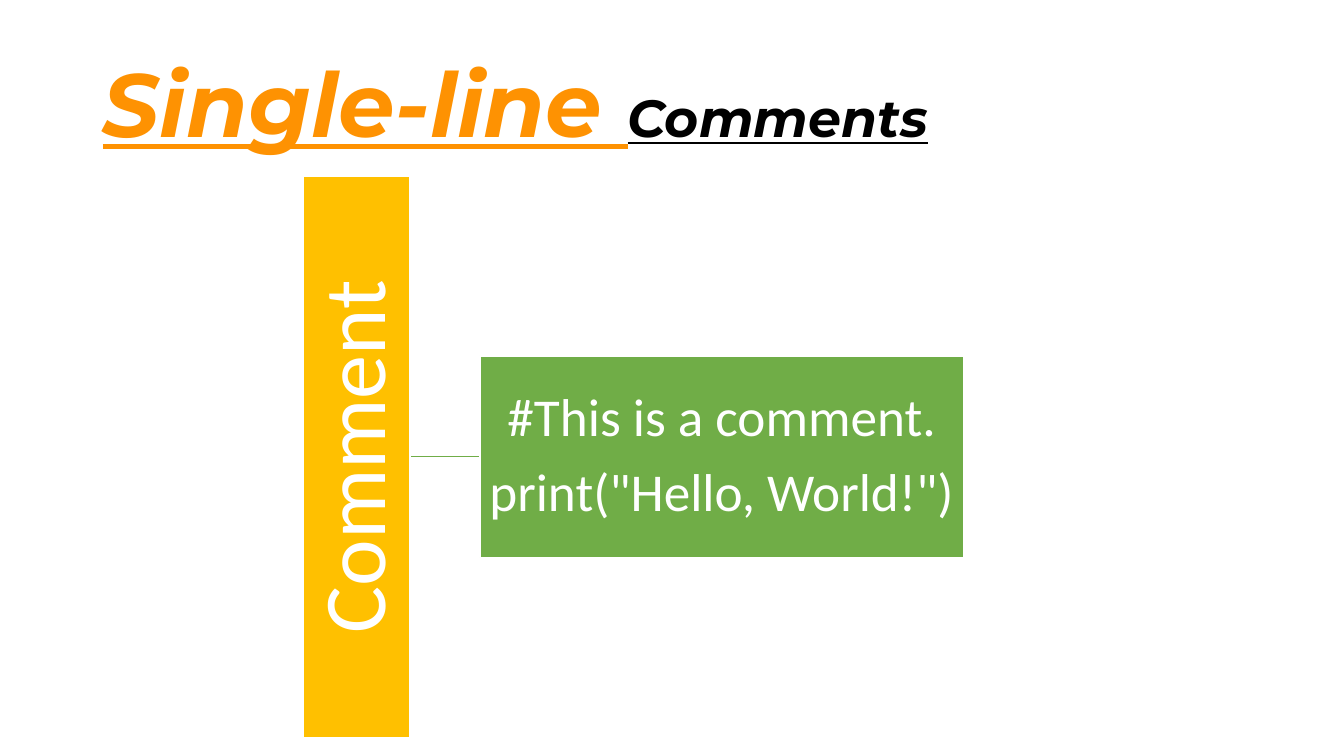
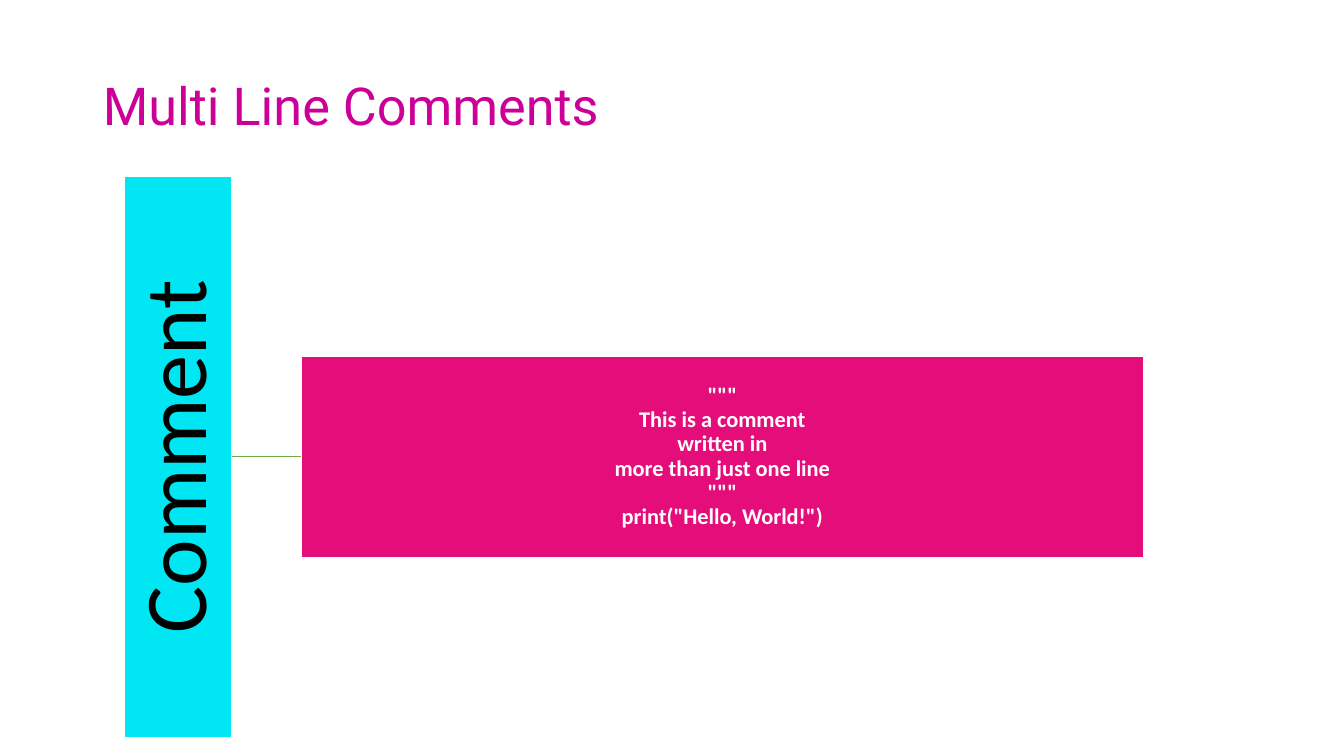
from dataclasses import dataclass
from typing import Any

from lxml import etree
from pptx import Presentation
from pptx.dml import color as dml
from pptx.enum import shapes, text
from pptx.oxml import ns
from pptx import util as u

SCALE = 9525  # EMU in one px
WIDE, HIGH = 1280, 720
MID = 435  # shared axis of bar, link and code box
BAR_W, BAR_H = 102, 535
LINK = 67
CODE_H = 192

HUES = {
    "white": "FFFFFF", "black": "000000", "orange": "FE9202",
    "purple": "CC0099", "gold": "FFC000", "green": "70AD47",
    "cyan": "00E6F2", "pink": "E50D79",
}


@dataclass
class Run:
    words: str
    hue: str
    form: dict[str, Any]


@dataclass
class Block:
    lines: list[Run]
    fill: str
    pad: int
    gap: int = 0


@dataclass
class Page:
    title: list[Run]
    bar_x: int  # centre of the upright bar
    bar: Block
    code: Block
    code_w: int


# Text formats
HEAD = {"name": "Montserrat", "bold": True, "italic": True, "underline": True}
PLAIN = {"name": "Roboto", "size": u.Pt(37.3)}
LABEL = {"name": "Calibri", "size": u.Pt(63)}
CODE = {"name": "Calibri", "size": u.Pt(38)}
SMALL = {"name": "Calibri", "size": u.Pt(16), "bold": True}

PAGES = [
    Page(
        [Run("Single-line ", "orange", HEAD | {"size": u.Pt(64)}),
         Run("Comments", "black", HEAD | {"size": u.Pt(37.3)})],
        339,
        Block([Run("Comment", "white", LABEL)], "gold", 4),
        Block([Run("#This is a comment.", "white", CODE),
               Run('print("Hello, World!")', "white", CODE)], "green", 3, 13),
        461,
    ),
    Page(
        [Run("Multi Line Comments", "purple", PLAIN)],
        169,
        Block([Run("Comment", "black", LABEL)], "cyan", 4),
        Block([Run('"""\nThis is a comment\nwritten in\nmore than just one line\n'
                   '"""\nprint("Hello, World!")', "white", SMALL)], "pink", 1),
        802,
    ),
]


def px(*vals: int) -> list[u.Emu]:
    return [u.Emu(val * SCALE) for val in vals]


def rgb(hue: str) -> dml.RGBColor:
    return dml.RGBColor.from_string(HUES[hue])


def style(font: Any, run: Run) -> None:
    for key, val in run.form.items():
        setattr(font, key, val)
    font.color.rgb = rgb(run.hue)


def frame(shape: Any, pads: tuple[int, int, int, int]) -> Any:
    body = shape.text_frame
    body.word_wrap = True
    body.vertical_anchor = text.MSO_ANCHOR.MIDDLE
    for side, pad in zip(("left", "top", "right", "bottom"), px(*pads)):
        setattr(body, f"margin_{side}", pad)
    return body


def title(slide: Any, runs: list[Run]) -> None:
    box = slide.shapes.add_textbox(*px(88, 38, 1104, 139))
    para = frame(box, (10, 0, 10, 8)).paragraphs[0]
    para.line_spacing = 0.9
    for run in runs:
        part = para.add_run()
        part.text = run.words
        style(part.font, run)


def block(slide: Any, item: Block, left: int, wide: int, high: int,
          turn: int = 0) -> None:
    box = slide.shapes.add_shape(shapes.MSO_SHAPE.RECTANGLE,
                                 *px(left, MID - high // 2, wide, high))
    box.rotation = turn
    box.shadow.inherit = False
    box.fill.solid()
    box.fill.fore_color.rgb = rgb(item.fill)
    box.line.color.rgb = rgb("white")
    box.line.width = u.Pt(1)
    body = frame(box, (item.pad,) * 4)
    for num, run in enumerate(item.lines):
        para = body.add_paragraph() if num else body.paragraphs[0]
        para.text = run.words
        para.alignment = text.PP_ALIGN.CENTER
        para.line_spacing = 0.9
        if num:
            para.space_before = u.Pt(item.gap)
        for part in para.runs:
            style(part.font, run)


def link(slide: Any, left: int) -> None:
    line = slide.shapes.add_connector(shapes.MSO_CONNECTOR.STRAIGHT,
                                      *px(left, MID, left + LINK, MID))
    line.line.color.rgb = rgb("green")
    line.line.width = u.Pt(1)
    etree.SubElement(line._element.spPr, ns.qn("a:effectLst"))


def draw(slide: Any, page: Page) -> None:
    edge = page.bar_x + BAR_W // 2
    title(slide, page.title)
    link(slide, edge)
    # The bar is a wide block turned upright
    block(slide, page.bar, page.bar_x - BAR_H // 2, BAR_H, BAR_W, 270)
    block(slide, page.code, edge + LINK, page.code_w, CODE_H)


def main() -> None:
    deck = Presentation()
    deck.slide_width, deck.slide_height = px(WIDE, HIGH)
    for page in PAGES:
        draw(deck.slides.add_slide(deck.slide_layouts[6]), page)
    deck.save("out.pptx")


if __name__ == "__main__":
    main()
